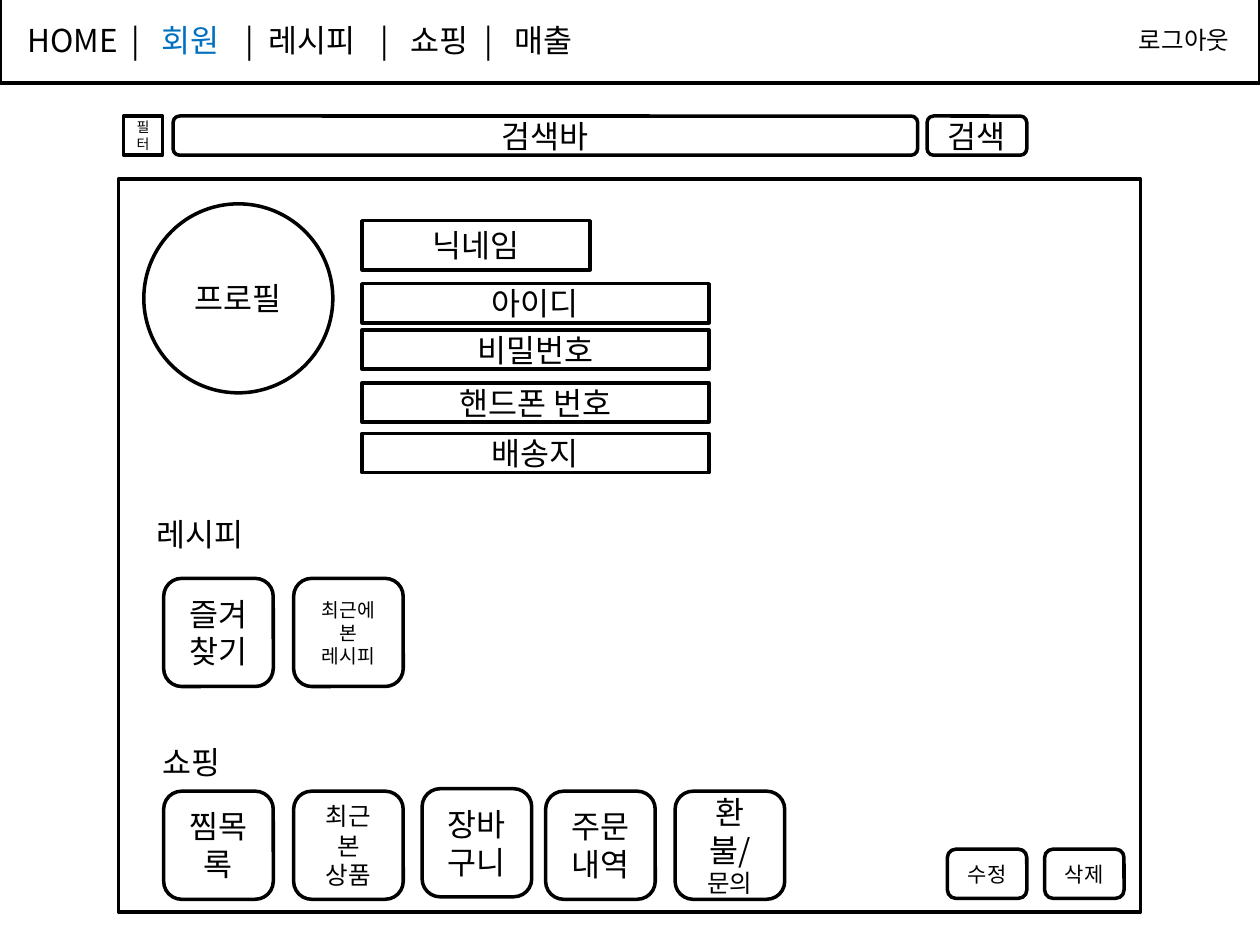
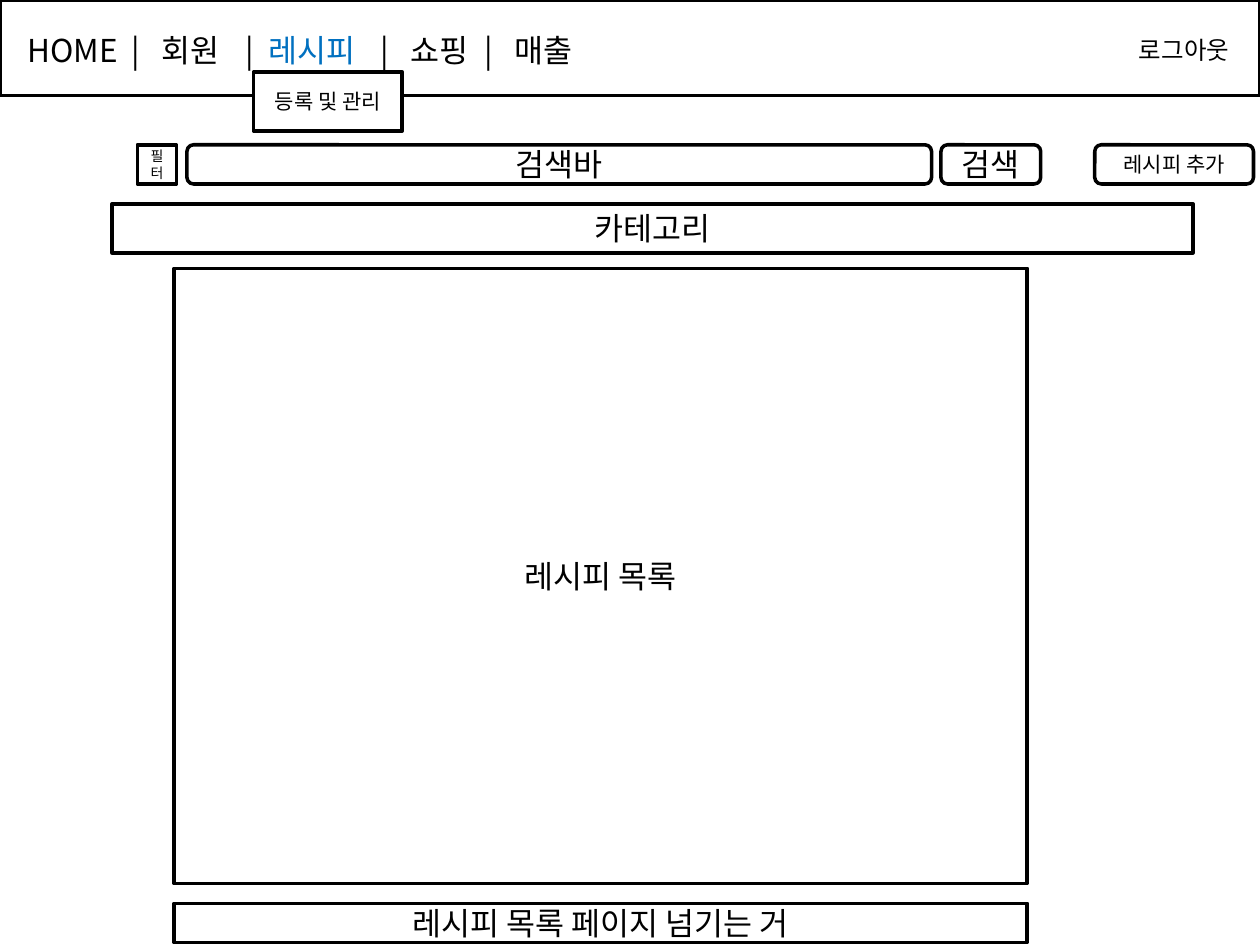
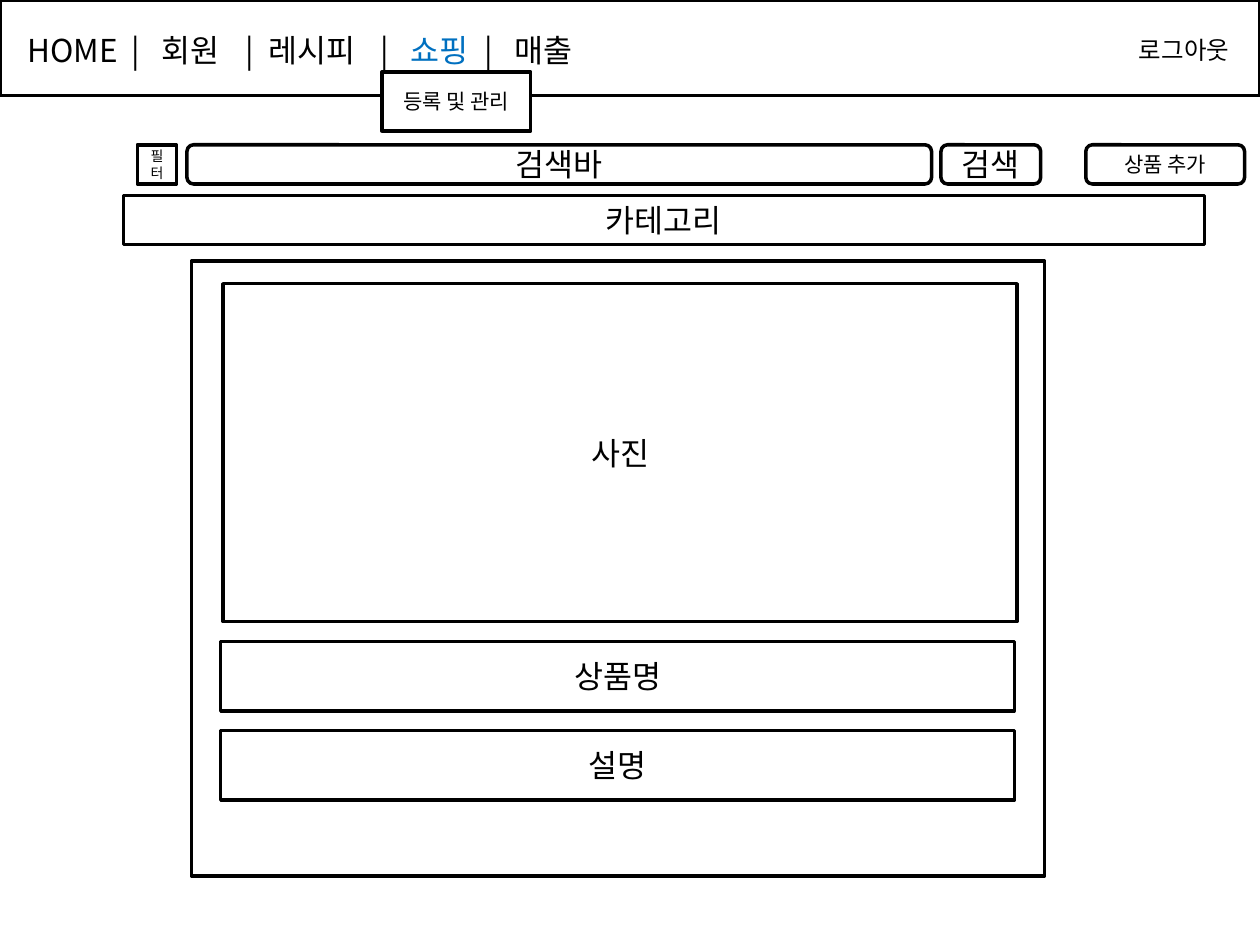
from dataclasses import dataclass

from lxml import etree
from pptx import Presentation
from pptx import util as u
from pptx.dml.color import RGBColor
from pptx.enum import shapes, text
from pptx.oxml import ns


@dataclass(frozen=True)
class Theme:
    font: str = "Noto Sans CJK KR"
    ink: RGBColor = RGBColor(0x00, 0x00, 0x00)
    paper: RGBColor = RGBColor(0xFF, 0xFF, 0xFF)
    active: RGBColor = RGBColor(0x00, 0x70, 0xC0)
    line: float = 2
    body: int = 18
    medium: int = 14
    button: int = 12
    small: int = 11
    tiny: int = 8


T = Theme()
RECT = shapes.MSO_SHAPE.RECTANGLE
ROUND = shapes.MSO_SHAPE.ROUNDED_RECTANGLE
OVAL = shapes.MSO_SHAPE.OVAL

MENU = ["HOME", "회원", "레시피", "쇼핑", "매출"]
MENU_TABS = [2.1, 2.71, 4.39, 4.87, 7.12, 7.73, 9.21, 9.82]
LOGOUT = "로그아웃"
SEARCH = [
    ("필터", 0, 0.79, RECT, T.tiny),
    ("검색바", 1, 15.01, ROUND, T.body),
    ("검색", 16.2, 2.01, ROUND, T.body),
]
ROW_H = 0.79

FIELDS = [
    ("닉네임", 4.45, 4.6, 0.99),
    ("아이디", 5.72, 6.99, ROW_H),
    ("비밀번호", 6.65, 6.99, ROW_H),
    ("핸드폰 번호", 7.72, 6.99, ROW_H),
    ("배송지", 8.74, 6.99, ROW_H),
]
TILE_LEFTS = [3.3, 5.92, 8.51, 11, 13.61]
TILE_W, TILE_H, TILE_MARGIN = 2.21, 2.18, 0.3
SECTIONS = [
    ("레시피", 2.9, 10.26, [
        ([("즐겨찾기", T.body)], 11.66),
        ([("최근에 본 레시피", T.small)], 11.66),
    ]),
    ("쇼핑", 3.02, 14.86, [
        ([("찜목록", T.body)], 15.95),
        ([("최근 본 상품", T.medium)], 15.95),
        ([("장바구니", T.body)], 15.9),
        ([("주문내역", T.body)], 15.95),
        ([("환불/ ", T.body), ("문의", T.medium)], 15.95),
    ]),
]
ACTIONS = [("수정", 19.1), ("삭제", 21.06)]

SUBMENU = "등록 및 관리"
SUBMENU_TOP = 1.45
CATEGORY = "카테고리"
RECIPE_BOXES = [("레시피 목록", 5.41, 12.4), ("레시피 목록 페이지 넘기는 거", 18.21, ROW_H)]
PRODUCT_BOXES = [("사진", 4.5, 5.72, 6.81), ("상품명", 4.45, 12.93, 1.4), ("설명", 4.45, 14.73, 1.4)]


def cm(*values):
    return [u.Cm(v) for v in values]


def add_run(p, words, size, color=T.ink):
    r = p.add_run()
    r.text = words
    r.font.size = u.Pt(size)
    r.font.name = T.font
    r.font.color.rgb = color
    ea = etree.SubElement(r.font._element, ns.qn("a:ea"))
    ea.set("typeface", T.font)


def add_box(s, at, runs=(), kind=RECT, margin=0.25):
    sp = s.shapes.add_shape(kind, *cm(*at))
    sp.shadow.inherit = False
    sp.fill.solid()
    sp.fill.fore_color.rgb = T.paper
    sp.line.color.rgb = T.ink
    sp.line.width = u.Pt(T.line)
    tf = sp.text_frame
    tf.word_wrap = True
    tf.margin_left = tf.margin_right = u.Cm(margin)
    tf.vertical_anchor = text.MSO_ANCHOR.MIDDLE
    p = tf.paragraphs[0]
    p.alignment = text.PP_ALIGN.CENTER
    for words, size in runs:
        add_run(p, words, size)


def add_label(s, at):
    tf = s.shapes.add_textbox(*cm(*at)).text_frame
    tf.word_wrap = True
    tf.auto_size = text.MSO_AUTO_SIZE.SHAPE_TO_FIT_TEXT
    return tf.paragraphs[0]


def add_nav(s, active, top, height, text_top):
    add_box(s, (0, top, 25.4, height))
    p = add_label(s, (0.3, text_top, 17, 1.02))
    tabs = etree.SubElement(p._p.get_or_add_pPr(), ns.qn("a:tabLst"))
    for pos in MENU_TABS:
        etree.SubElement(tabs, ns.qn("a:tab"), pos=str(u.Cm(pos)), algn="l")
    for i, item in enumerate(MENU):
        if i:
            add_run(p, "\t|\t", T.body)
        add_run(p, item, T.body, T.active if item == active else T.ink)
    p = add_label(s, (22.71, text_top + 0.08, 2.69, 0.86))
    add_run(p, LOGOUT, T.medium)


def add_search(s, left, top):
    for words, dx, width, kind, size in SEARCH:
        add_box(s, (left + dx, top, width, ROW_H), [(words, size)], kind)


def add_catalog_head(s, active, submenu_left, add_words, add_left, category_at):
    add_nav(s, active, 0, 1.93, 0.51)
    add_box(s, (submenu_left, SUBMENU_TOP, 3, 1.19), [(SUBMENU, T.button)])
    add_search(s, 2.77, 2.92)
    add_box(s, (add_left, 2.92, 3.2, ROW_H), [(add_words, T.button)], ROUND)
    add_box(s, (*category_at, 21.79, 0.99), [(CATEGORY, T.body)])


def build_member(s):
    add_nav(s, "회원", -0.05, 1.73, 0.3)
    add_search(s, 2.49, 2.34)
    add_box(s, (2.39, 3.61, 20.6, 14.78))
    add_box(s, (2.9, 4.11, 3.81, 3.81), [("프로필", T.body)], OVAL)
    for words, top, width, height in FIELDS:
        add_box(s, (7.3, top, width, height), [(words, T.body)])
    for heading, left, top, tiles in SECTIONS:
        add_run(add_label(s, (left, top, 3.99, 1.02)), heading, T.body)
        for tile_left, (runs, tile_top) in zip(TILE_LEFTS, tiles):
            add_box(s, (tile_left, tile_top, TILE_W, TILE_H), runs, ROUND, TILE_MARGIN)
    for words, left in ACTIONS:
        add_box(s, (left, 17.12, 1.6, 0.99), [(words, T.button)], ROUND)


def build_recipes(s):
    add_catalog_head(s, "레시피", 5.11, "레시피 추가", 22.07, (2.26, 4.11))
    for words, top, height in RECIPE_BOXES:
        add_box(s, (3.51, top, 17.2, height), [(words, T.body)])


def build_shopping(s):
    add_catalog_head(s, "쇼핑", 7.7, "상품 추가", 21.89, (2.49, 3.94))
    add_box(s, (3.86, 5.26, 17.2, 12.4))
    for words, left, top, height in PRODUCT_BOXES:
        add_box(s, (left, top, 16, height), [(words, T.body)])


def main():
    prs = Presentation()
    prs.slide_width, prs.slide_height = cm(25.4, 19.05)
    for build in (build_member, build_recipes, build_shopping):
        build(prs.slides.add_slide(prs.slide_layouts[6]))
    prs.save("out.pptx")


if __name__ == "__main__":
    main()
